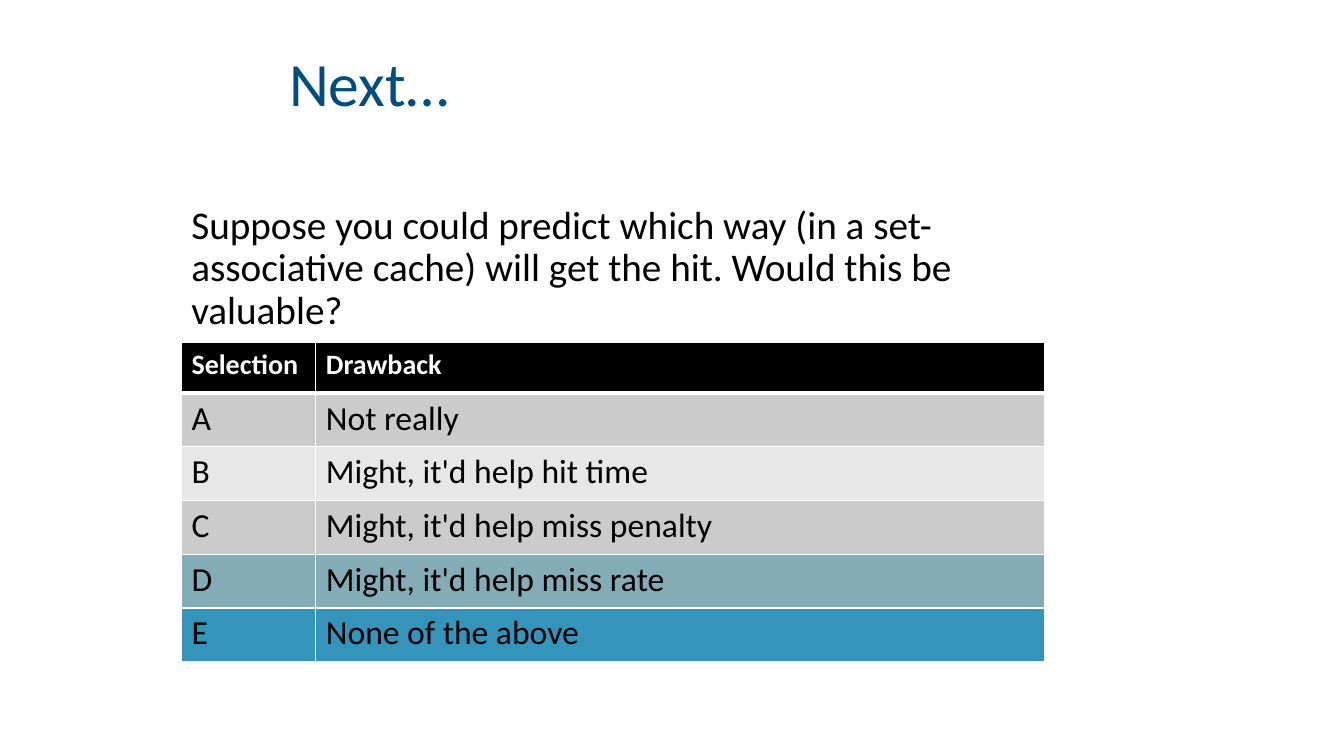
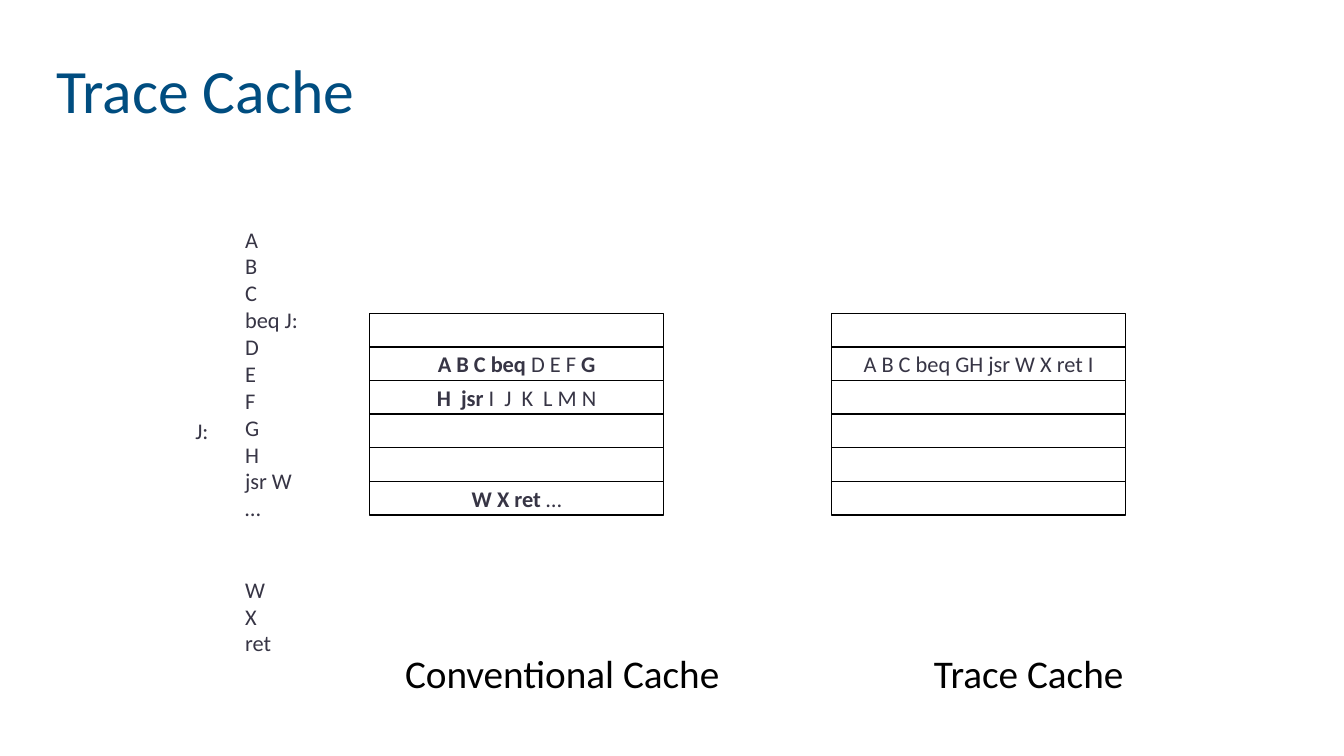
from dataclasses import dataclass

from lxml.etree import SubElement
from pptx import Presentation
from pptx.dml.color import RGBColor
from pptx.enum.shapes import MSO_SHAPE
from pptx.enum.text import MSO_ANCHOR as Anchor, PP_ALIGN as Align
from pptx.oxml.ns import qn
from pptx.slide import Slide
from pptx.text.text import TextFrame
from pptx.util import Inches, Pt

WIDTH, HEIGHT = Inches(13.33), Inches(7.5)
FONT = "Calibri"
BLUE = RGBColor(0x00, 0x4D, 0x80)
BLACK = RGBColor(0x00, 0x00, 0x00)
WHITE = RGBColor(0xFF, 0xFF, 0xFF)
SLATE = RGBColor(0x37, 0x35, 0x45)
GRAY = RGBColor(0xCB, 0xCB, 0xCB)
PALE = RGBColor(0xE7, 0xE7, 0xE7)
TEAL = RGBColor(0x84, 0xAC, 0xB6)
AZURE = RGBColor(0x34, 0x94, 0xBA)

CODE_SIZE = 16
CODE_LINE = 3.62
CODE_TOP = 29.2
CACHE_TOP = 41.47
CACHE_WIDTH = 21.88
LINE_HEIGHT = 4.44
LINE_COUNT = 6


@dataclass(frozen=True)
class Box:
    """Left, top, width and height in percent of the slide."""
    left: float
    top: float
    width: float
    height: float

    def emu(self) -> tuple[int, int, int, int]:
        return (across(self.left), down(self.top),
                across(self.width), down(self.height))


@dataclass(frozen=True)
class Run:
    text: str
    bold: bool = False


@dataclass(frozen=True)
class Choice:
    letter: str
    answer: str
    fill: RGBColor


@dataclass(frozen=True)
class Cache:
    left: float
    caption: str
    caption_left: float
    lines: dict[int, list[Run]]


CHOICES = [
    Choice("A", "Not really", GRAY),
    Choice("B", "Might, it'd help hit time", PALE),
    Choice("C", "Might, it'd help miss penalty", GRAY),
    Choice("D", "Might, it'd help miss rate", TEAL),
    Choice("E", "None of the above", AZURE),
]

CACHES = [
    Cache(27.5, "Conventional Cache", 29.4, {
        1: [Run("A B C beq", True), Run(" D E F "), Run("G", True)],
        2: [Run("H  jsr", True), Run(" I  J  K  L M N")],
        5: [Run("W X ret", True), Run(" …")],
    }),
    Cache(61.88, "Trace Cache", 68.75, {
        1: [Run("A B C beq GH jsr W X ret I")],
    }),
]

MAIN_CODE = ["A", "B", "C", "beq J:", "D", "E", "F", "G", "H", "jsr W", "…"]
SUBROUTINE = ["W", "X", "ret"]


def across(share: float) -> int:
    return round(WIDTH * share / 100)


def down(share: float) -> int:
    return round(HEIGHT * share / 100)


def write(tf: TextFrame, *paragraphs: list[Run], size: float, color: RGBColor,
          align: Align = Align.LEFT, spacing: float = 1.0,
          before: float = 0) -> None:
    for i, runs in enumerate(paragraphs):
        p = tf.add_paragraph() if i else tf.paragraphs[0]
        p.alignment = align
        p.line_spacing = spacing
        p.space_before = Pt(before)
        for run in runs:
            r = p.add_run()
            r.text = run.text
            r.font.name = FONT
            r.font.size = Pt(size)
            r.font.bold = run.bold
            r.font.color.rgb = color


def add_text(s: Slide, box: Box, *lines: str, size: float = 28,
             color: RGBColor = BLACK, anchor: Anchor = Anchor.TOP,
             wrap: bool = True, spacing: float = 0.9,
             before: float = 0) -> TextFrame:
    tf = s.shapes.add_textbox(*box.emu()).text_frame
    tf.word_wrap = wrap
    tf.vertical_anchor = anchor
    write(tf, *([Run(line)] for line in lines), size=size, color=color,
          spacing=spacing, before=before)
    return tf


def add_title(s: Slide, text: str, box: Box) -> None:
    add_text(s, box, text, size=44, color=BLUE, anchor=Anchor.MIDDLE)


def set_borders(cell, top: float, bottom: float) -> None:
    tc_pr = cell._tc.get_or_add_tcPr()
    widths = {"lnL": 1, "lnR": 1, "lnT": top, "lnB": bottom}
    for i, (tag, width) in enumerate(widths.items()):
        ln = SubElement(tc_pr, qn(f"a:{tag}"), w=str(Pt(width)))
        fill = SubElement(ln, qn("a:solidFill"))
        SubElement(fill, qn("a:srgbClr"), val=str(WHITE))
        tc_pr.insert(i, ln)


def add_choices(s: Slide, left: float, top: float) -> None:
    widths = [10, 54.2]
    heights = [6.67] + [7.11] * len(CHOICES)
    rows = [Choice("Selection", "Drawback", BLACK), *CHOICES]
    box = Box(left, top, sum(widths), sum(heights))
    table = s.shapes.add_table(len(rows), len(widths), *box.emu()).table
    table.first_row = table.horz_banding = False
    for col, width in zip(table.columns, widths):
        col.width = across(width)
    for i, (choice, height) in enumerate(zip(rows, heights)):
        header = i == 0
        table.rows[i].height = down(height)
        for j, text in enumerate((choice.letter, choice.answer)):
            cell = table.cell(i, j)
            cell.fill.solid()
            cell.fill.fore_color.rgb = choice.fill
            set_borders(cell, top=3 if i == 1 else 1, bottom=3 if header else 1)
            write(cell.text_frame, [Run(text, header)],
                  size=20 if header else 24, color=WHITE if header else BLACK)


def add_cache(s: Slide, cache: Cache) -> None:
    for i in range(LINE_COUNT):
        box = Box(cache.left, CACHE_TOP + i * LINE_HEIGHT,
                  CACHE_WIDTH, LINE_HEIGHT)
        sp = s.shapes.add_shape(MSO_SHAPE.RECTANGLE, *box.emu())
        sp.shadow.inherit = False
        sp.fill.background()
        sp.line.color.rgb = BLACK
        sp.line.width = Pt(1)
        if i in cache.lines:
            tf = sp.text_frame
            tf.word_wrap = False
            tf.vertical_anchor = Anchor.MIDDLE
            write(tf, cache.lines[i], size=CODE_SIZE, color=SLATE,
                  align=Align.CENTER)
    add_text(s, Box(cache.caption_left, 85.87, 28, 8.93), cache.caption,
             before=10)


def add_code(s: Slide) -> None:
    style = dict(size=CODE_SIZE, color=SLATE, wrap=False, spacing=1.0)
    tf = add_text(s, Box(17.5, CODE_TOP, 6, 58.8),
                  *MAIN_CODE, *SUBROUTINE, **style)
    tf.paragraphs[len(MAIN_CODE)].space_before = Pt(39)
    target = CODE_TOP + MAIN_CODE.index("G") * CODE_LINE
    add_text(s, Box(13.8, target, 3, 4.9), "J:", **style)


def build_question(s: Slide) -> None:
    add_title(s, "Next…", Box(20.78, 3.07, 58.74, 16.67))
    add_text(s, Box(13.5, 26.53, 68.94, 18),
             "Suppose you could predict which way (in a set-associative cache) "
             "will get the hit. Would this be valuable?", before=10)
    add_choices(s, 13.5, 45.33)


def build_trace_cache(s: Slide) -> None:
    add_title(s, "Trace Cache", Box(3.45, 2.67, 94.75, 19.33))
    add_code(s)
    for cache in CACHES:
        add_cache(s, cache)


def main() -> None:
    prs = Presentation()
    prs.slide_width, prs.slide_height = WIDTH, HEIGHT
    blank = prs.slide_layouts[6]
    for build in (build_question, build_trace_cache):
        build(prs.slides.add_slide(blank))
    prs.save("out.pptx")


if __name__ == "__main__":
    main()
